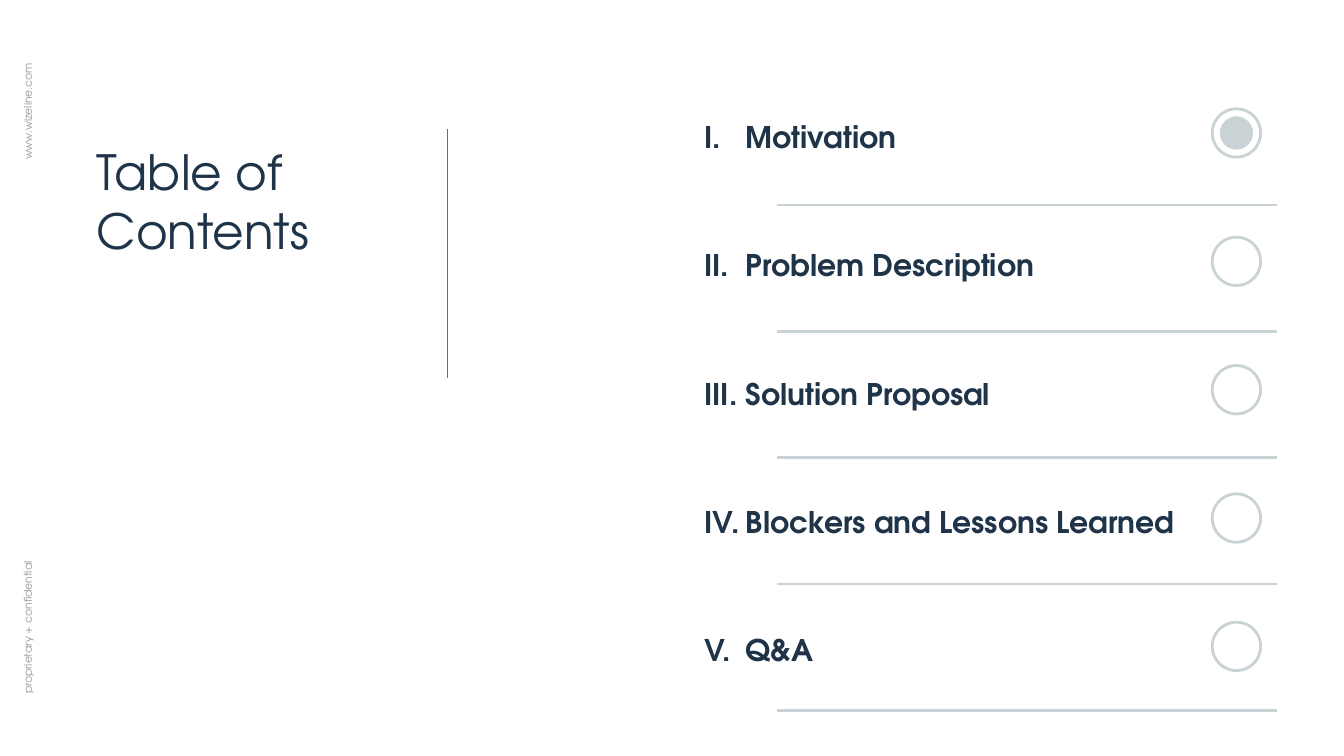
import dataclasses

import pptx
import pptx.dml.color
import pptx.enum.shapes
import pptx.enum.text
import pptx.oxml.ns
import pptx.util
from lxml import etree

PX = 4572  # EMU: 200 px to the inch
ALIGN = pptx.enum.text.PP_ALIGN
ANCHOR = pptx.enum.text.MSO_ANCHOR


def px(n):
    return pptx.util.Emu(n * PX)


def rgb(value):
    return pptx.dml.color.RGBColor.from_string(value)


def set_all(obj, values):
    for name, value in values.items():
        setattr(obj, name, value)


@dataclasses.dataclass(frozen=True)
class Theme:
    font: str = "TeX Gyre Adventor"
    navy: str = "203449"
    silver: str = "C9D3D5"
    red: str = "EC393A"
    grey: str = "999999"
    white: str = "FFFFFF"
    title_pt: float = 26
    item_pt: float = 16
    margin_pt: float = 5.8
    thin_pt: float = 0.75
    rule_pt: float = 1.5


class Deck:
    def __init__(self, theme):
        self.theme = theme
        self.prs = pptx.Presentation()
        set_all(self.prs, {"slide_width": px(2000), "slide_height": px(1125)})
        self.s = self.prs.slides.add_slide(self.prs.slide_layouts[6])

    def line(self, x1, y1, x2, y2, color, width):
        sp = self.s.shapes.add_connector(
            pptx.enum.shapes.MSO_CONNECTOR.STRAIGHT, px(x1), px(y1), px(x2), px(y2))
        sp.line.color.rgb = rgb(color)
        sp.line.width = pptx.util.Pt(width)
        etree.SubElement(sp._element.spPr, pptx.oxml.ns.qn("a:effectLst"))

    def circle(self, x, y, size, outline, fill=None):
        sp = self.s.shapes.add_shape(
            pptx.enum.shapes.MSO_SHAPE.OVAL, px(x), px(y), px(size), px(size))
        sp.shadow.inherit = False
        if fill:
            sp.fill.solid()
            sp.fill.fore_color.rgb = rgb(fill)
        else:
            sp.fill.background()
        sp.line.color.rgb = rgb(outline)
        sp.line.width = pptx.util.Pt(self.theme.rule_pt)

    def text(self, text, x, y, w, h, size, color, inset=20, bold=False,
             anchor=ANCHOR.MIDDLE, align=ALIGN.LEFT, spacing=None, rotation=0, tab=None):
        sp = self.s.shapes.add_textbox(px(x), px(y), px(w), px(h))
        sp.rotation = rotation
        tf = sp.text_frame
        sides = ("left", "top", "right", "bottom")
        set_all(tf, {"word_wrap": True, "vertical_anchor": anchor,
                     **{f"margin_{side}": px(inset) for side in sides}})
        p = tf.paragraphs[0]
        set_all(p, {"alignment": align, "line_spacing": spacing})
        if tab:
            tabs = etree.SubElement(p._p.get_or_add_pPr(), pptx.oxml.ns.qn("a:tabLst"))
            etree.SubElement(tabs, pptx.oxml.ns.qn("a:tab"), pos=str(px(tab)), algn="l")
        r = p.add_run()
        r.text = text
        set_all(r.font, {"name": self.theme.font, "size": pptx.util.Pt(size), "bold": bold})
        r.font.color.rgb = rgb(color)


def main():
    t = Theme()
    deck = Deck(t)

    deck.line(666, 192, 666, 562, t.red, t.thin_pt)
    for note, y in (("proprietary + confidential", 910), ("www.wizeline.com", 142)):
        deck.text(note, -90, y, 266, 48, t.margin_pt, t.grey,
                  align=ALIGN.CENTER, spacing=0.8, rotation=270)
    deck.text("Table of Contents", 124, 192, 424, 234, t.title_pt, t.navy,
              anchor=ANCHOR.TOP)

    items = (
        ("I.", "Motivation"),
        ("II.", "Problem Description"),
        ("III.", "Solution Proposal"),
        ("IV.", "Blockers and Lessons Learned"),
        ("V.", "Q&A"),
    )
    current = 0
    for i, (numeral, topic) in enumerate(items):
        row = 191 * i
        rule_y = 305 + 188 * i
        deck.line(1156, rule_y, 1900, rule_y, t.silver, t.rule_pt)
        if i == current:
            deck.circle(1813, row + 171, 54, t.white, t.silver)
        deck.circle(1804, row + 162, 72, t.silver)
        deck.text(f"{numeral}\t{topic}", 1048, row + 158, 756, 82, t.item_pt, t.navy,
                  inset=0, bold=True, spacing=1.15, tab=62)

    deck.prs.save("out.pptx")


if __name__ == "__main__":
    main()
